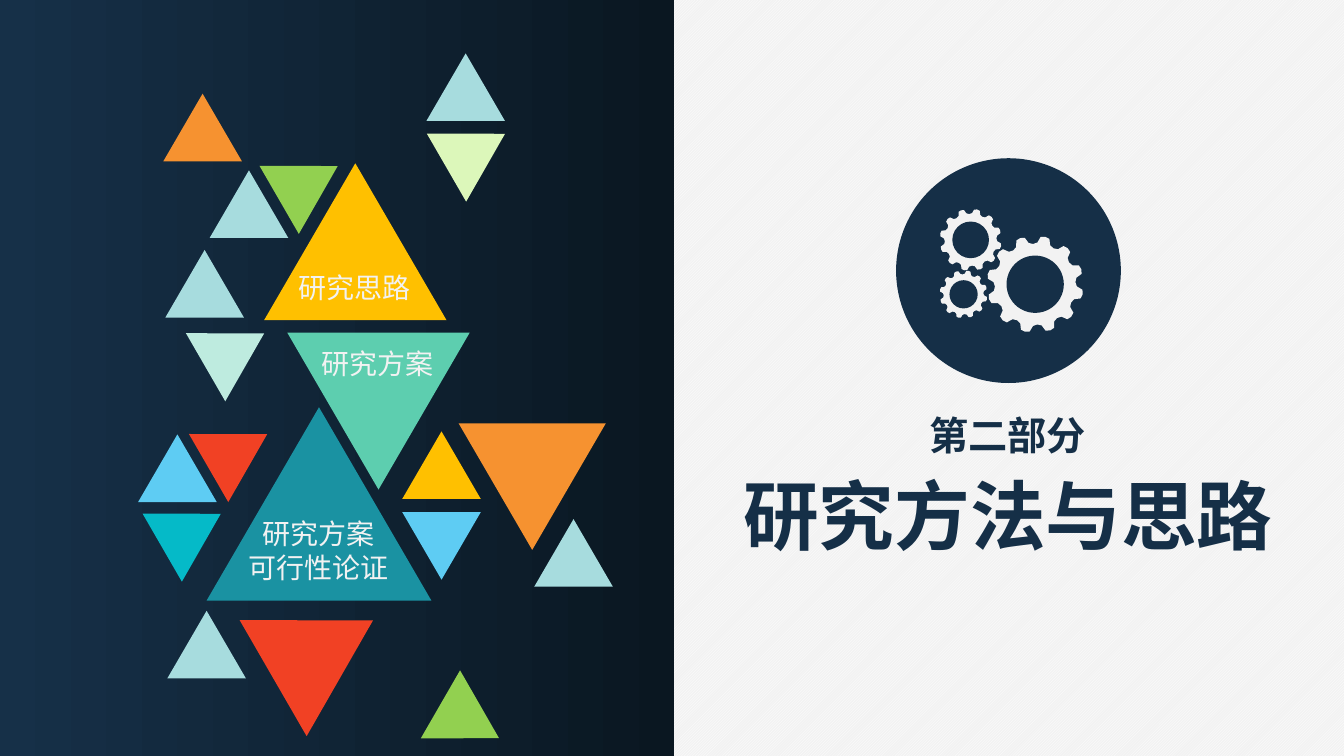
from dataclasses import dataclass
from math import cos, pi, sin

from pptx import Presentation
from pptx.dml.color import RGBColor
from pptx.enum.dml import MSO_PATTERN
from pptx.enum.shapes import MSO_SHAPE as Preset
from pptx.enum.text import MSO_AUTO_SIZE as AutoSize, PP_ALIGN as Align
from pptx.oxml.ns import qn
from pptx.util import Emu, Inches, Pt

CELL = Inches(1) // 12
COLUMNS, ROWS = 160, 90


@dataclass(frozen=True)
class Theme:
    font: str = "Noto Sans CJK SC"
    title: int = 54
    section: int = 28
    label: int = 20
    navy: str = "152F47"
    panel_start: str = "163048"
    panel_end: str = "0A1721"
    paper: str = "F2F2F2"
    white: str = "FFFFFF"
    pale_teal: str = "A7DCDE"
    pale_mint: str = "BEEBDF"
    mint: str = "5DCEAF"
    teal: str = "1A92A2"
    sky: str = "5ECCF3"
    orange: str = "F69230"
    green: str = "92D050"
    lime: str = "DCF7BA"
    cyan: str = "05BAC8"
    amber: str = "FFC000"
    red: str = "F14124"


THEME = Theme()
SMALL = 9.36
TRIANGLE_RATIO = 0.86
TRIANGLES = [
    (19.68, 29.76, SMALL, 0, THEME.pale_teal),
    (50.76, 6.36, SMALL, 0, THEME.pale_teal),
    (23.28, 37.68, SMALL, 60, THEME.pale_mint),
    (34.2, 39.6, 21.72, 180, THEME.mint),
    (24.6, 48.48, 26.76, 0, THEME.teal),
    (19.92, 72.72, SMALL, 0, THEME.pale_teal),
    (16.44, 51.72, SMALL, 0, THEME.sky),
    (19.44, 11.16, SMALL, 0, THEME.orange),
    (24.96, 20.28, SMALL, 0, THEME.pale_teal),
    (32.04, 17.76, SMALL, 60, THEME.green),
    (51.96, 13.92, SMALL, 60, THEME.lime),
    (18.12, 59.16, SMALL, 60, THEME.cyan),
    (54.6, 50.4, 17.52, 180, THEME.orange),
    (47.88, 51.36, SMALL, 0, THEME.amber),
    (47.88, 60.96, SMALL, 180, THEME.sky),
    (23.64, 49.68, SMALL, 60, THEME.red),
    (30.48, 70.44, 15.96, 60, THEME.red),
    (63.6, 61.8, SMALL, 0, THEME.pale_teal),
    (31.44, 19.44, 21.72, 0, THEME.amber),
    (51.24, 81.84, SMALL, 120, THEME.green),
]
GEARS = [(123.24, 33.84, 5.78), (115.56, 28.56, 3.7), (114.72, 35.04, 2.85)]
TEETH = 12
TOOTH_PHASE = pi / 15
TOOTH_PROFILE = [(-0.3, 0.86), (-0.18, 0.98), (0, 1), (0.18, 0.98), (0.3, 0.86), (0.5, 0.83)]
HOLE_SHARE = 0.59


def cells(*counts):
    return [Emu(round(count * CELL)) for count in counts]


def color(code):
    return RGBColor.from_string(code)


def paint(shape, code):
    shape.fill.solid()
    shape.fill.fore_color.rgb = color(code)
    shape.line.fill.background()
    shape.shadow.inherit = False


def add_backdrop(slide):
    paper = slide.background.fill
    paper.patterned()
    paper.pattern = MSO_PATTERN.LIGHT_UPWARD_DIAGONAL
    paper.fore_color.rgb = color(THEME.white)
    paper.back_color.rgb = color(THEME.paper)
    panel = slide.shapes.add_shape(Preset.RECTANGLE, *cells(0, 0, 80.28, ROWS))
    paint(panel, THEME.panel_start)
    panel.fill.gradient()
    panel.fill.gradient_angle = 0
    for stop, code in zip(panel.fill.gradient_stops, (THEME.panel_start, THEME.panel_end)):
        stop.color.rgb = color(code)


def add_triangle(slide, left, top, width, turn, code):
    place = cells(left, top, width, width * TRIANGLE_RATIO)
    triangle = slide.shapes.add_shape(Preset.ISOSCELES_TRIANGLE, *place)
    triangle.rotation = turn
    paint(triangle, code)


def add_disc(icon, center_x, center_y, radius, code):
    place = cells(center_x - radius, center_y - radius, 2 * radius, 2 * radius)
    paint(icon.shapes.add_shape(Preset.OVAL, *place), code)


def add_gear(icon, center_x, center_y, radius):
    rim = []
    for tooth in range(TEETH):
        for shift, share in TOOTH_PROFILE:
            angle = TOOTH_PHASE + 2 * pi * (tooth + shift) / TEETH
            reach = radius * share
            rim.append(cells(center_x + reach * cos(angle), center_y + reach * sin(angle)))
    outline = icon.shapes.build_freeform(*rim[0])
    outline.add_line_segments(rim[1:])
    paint(outline.convert_to_shape(), THEME.paper)
    add_disc(icon, center_x, center_y, radius * HOLE_SHARE, THEME.navy)


def add_gear_icon(slide):
    icon = slide.shapes.add_group_shape()
    add_disc(icon, 120.06, 32.22, 13.38, THEME.navy)
    for gear in GEARS:
        add_gear(icon, *gear)


def add_caption(slide, place, lines, size, code, bold=False, align=Align.CENTER):
    frame = slide.shapes.add_textbox(*cells(*place)).text_frame
    frame.text = "\n".join(lines)
    frame.word_wrap = False
    frame.auto_size = AutoSize.SHAPE_TO_FIT_TEXT
    for paragraph in frame.paragraphs:
        paragraph.alignment = align
        for run in paragraph.runs:
            run.font.name = THEME.font
            run.font.size = Pt(size)
            run.font.bold = bold
            run.font.color.rgb = color(code)
            east_asian = run.font._element.makeelement(qn("a:ea"), {"typeface": THEME.font})
            run.font._element.find(qn("a:latin")).addnext(east_asian)


def main():
    deck = Presentation()
    deck.slide_width, deck.slide_height = cells(COLUMNS, ROWS)
    slide = deck.slides.add_slide(deck.slide_layouts[6])
    add_backdrop(slide)
    add_caption(slide, (87, 55.2, 66, 12.12), ["研究方法与思路"], THEME.title, THEME.navy, True)
    add_caption(slide, (109.32, 48.36, 21.24, 6.84), ["第二部分"], THEME.section, THEME.navy, True)
    add_gear_icon(slide)
    for triangle in TRIANGLES:
        add_triangle(slide, *triangle)
    for place, lines, align in [
        ((34.32, 31.56, 15.84, 5.28), ["研究思路"], Align.LEFT),
        ((37.08, 40.68, 15.84, 5.28), ["研究方案"], Align.LEFT),
        ((28.32, 60.96, 19.2, 9.24), ["研究方案", "可行性论证"], Align.CENTER),
    ]:
        add_caption(slide, place, lines, THEME.label, THEME.paper, align=align)
    deck.save("out.pptx")


if __name__ == "__main__":
    main()
